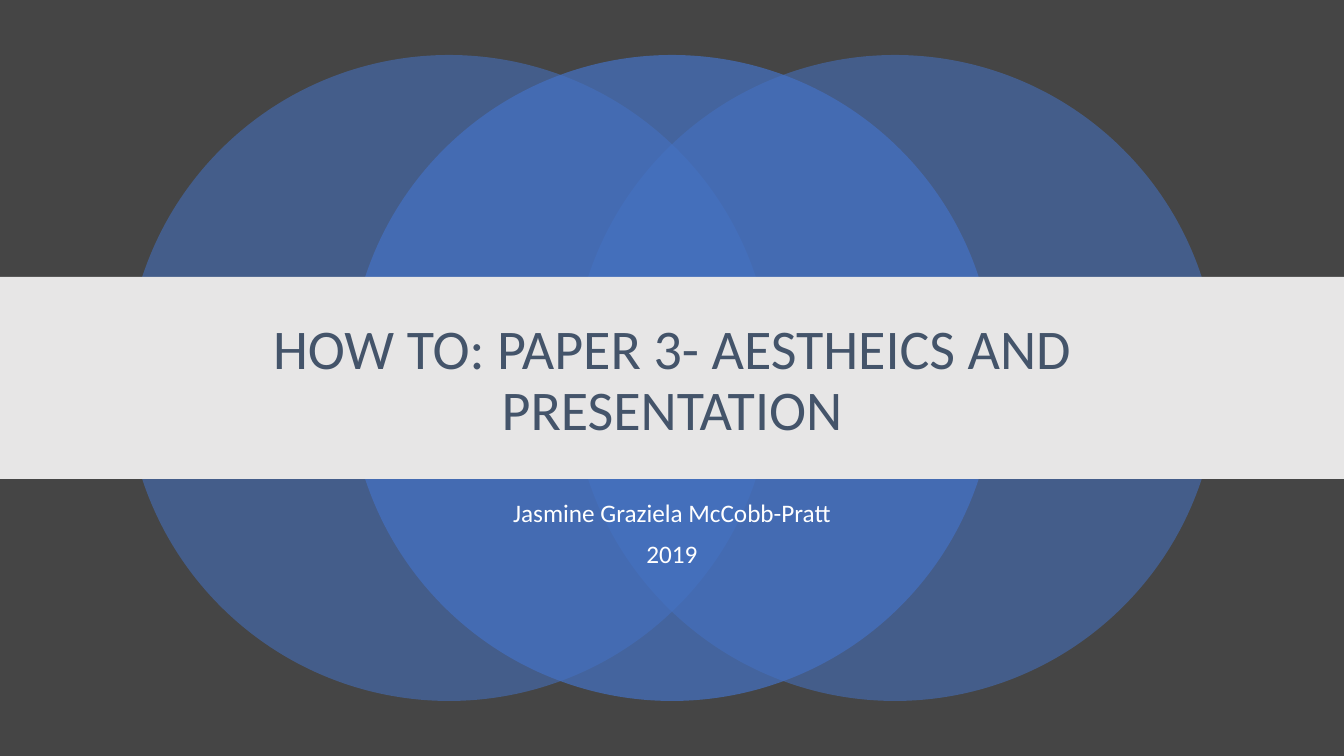
from dataclasses import dataclass

from lxml import etree
from pptx import Presentation
from pptx import util as u
from pptx.dml.color import RGBColor
from pptx.enum import shapes, text
from pptx.oxml.ns import qn

PX = 914400 / 100.8
SLIDE_W, SLIDE_H = 1344, 756


@dataclass(frozen=True)
class Theme:
    font: str = "Calibri"
    background: str = "454545"
    circle: str = "4472C4"
    band: str = "E7E6E6"
    title: str = "44546A"
    author: str = "FFFFFF"
    title_size: int = 40
    author_size: int = 18


THEME = Theme()


def px(length):
    return u.Emu(round(length * PX))


def add_filled(slide, kind, box, color, opacity=100):
    shape = slide.shapes.add_shape(kind, *map(px, box))
    shape.shadow.inherit = False
    shape.line.fill.background()
    shape.fill.solid()
    shape.fill.fore_color.rgb = RGBColor.from_string(color)
    if opacity < 100:
        color_node = shape.fill._xPr.find(qn("a:solidFill"))[0]
        etree.SubElement(color_node, qn("a:alpha"), val=str(opacity * 1000))


def write_centred(frame, lines, size, color, anchor):
    frame.word_wrap = True
    frame.auto_size = text.MSO_AUTO_SIZE.NONE
    frame.vertical_anchor = anchor
    for index, line in enumerate(lines):
        paragraph = frame.add_paragraph() if index else frame.paragraphs[0]
        paragraph.alignment = text.PP_ALIGN.CENTER
        paragraph.line_spacing = 0.9
        paragraph.space_before = u.Pt(10 if index else 0)
        run = paragraph.add_run()
        run.text = line
        run.font.name = THEME.font
        run.font.size = u.Pt(size)
        run.font.color.rgb = RGBColor.from_string(color)


def add_circles(slide, box):
    """Three overlapping circles, the middle one in front."""
    left, top, width, height = box
    step = (width - height) // 2
    for position, opacity in ((0, 55), (2, 55), (1, 70)):
        circle_box = (left + position * step, top, height, height)
        add_filled(slide, shapes.MSO_SHAPE.OVAL, circle_box, THEME.circle, opacity)


def add_title_band(slide, box, heading):
    left, top, width, height = box
    add_filled(slide, shapes.MSO_SHAPE.RECTANGLE, box, THEME.band)
    title = slide.shapes.title
    margin = width // 8
    title.left, title.top = px(left + margin), px(top + 29)
    title.width, title.height = px(width - 2 * margin), px(height - 50)
    write_centred(title.text_frame, [heading], THEME.title_size, THEME.title,
                  text.MSO_ANCHOR.MIDDLE)
    # Bring the title in front of the band
    slide.shapes._spTree.append(title._element)


def add_author(slide, box, lines):
    author = slide.shapes.add_textbox(*map(px, box))
    write_centred(author.text_frame, lines, THEME.author_size, THEME.author,
                  text.MSO_ANCHOR.TOP)


def build_cover(prs):
    slide = prs.slides.add_slide(prs.slide_layouts.get_by_name("Title Only"))
    slide.background.fill.solid()
    slide.background.fill.fore_color.rgb = RGBColor.from_string(THEME.background)
    add_circles(slide, (126, 55, 1092, 646))
    add_author(slide, (168, 496, 1008, 84), ["Jasmine Graziela McCobb-Pratt", "2019"])
    add_title_band(slide, (0, 277, SLIDE_W, 202),
                   "HOW TO: PAPER 3- AESTHEICS AND PRESENTATION")


def main():
    prs = Presentation()
    prs.slide_width, prs.slide_height = px(SLIDE_W), px(SLIDE_H)
    build_cover(prs)
    prs.save("out.pptx")


if __name__ == "__main__":
    main()
